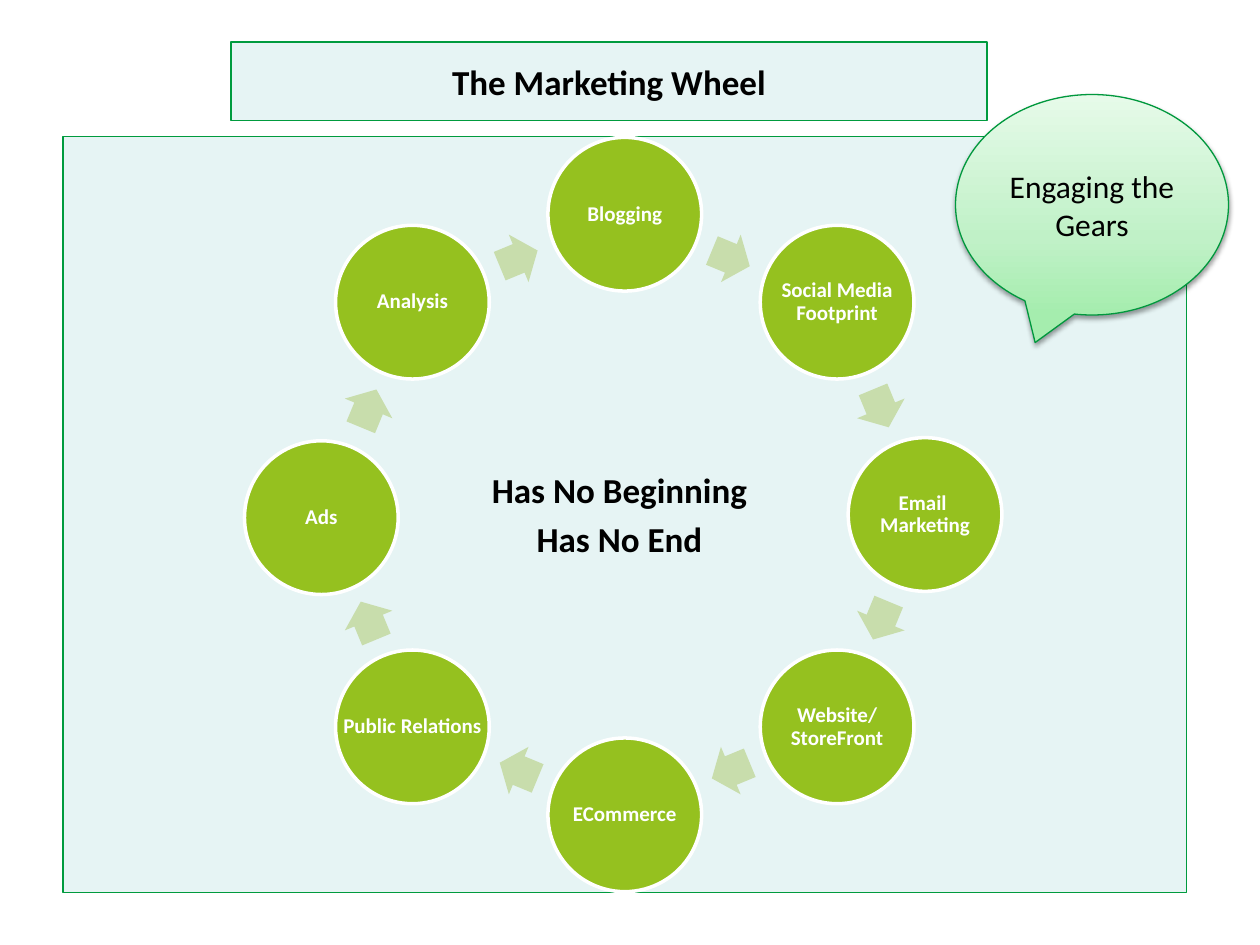
from dataclasses import dataclass
from math import cos, radians, sin

from lxml.etree import SubElement
from pptx import Presentation
from pptx.dml.color import RGBColor
from pptx.enum.shapes import MSO_SHAPE as Preset
from pptx.enum.text import MSO_ANCHOR as Anchor, PP_ALIGN as Align
from pptx.oxml.ns import qn
from pptx.util import Inches, Pt

# Grid of 120 columns by 90 rows
SLIDE_WIDTH, SLIDE_HEIGHT = Inches(10), Inches(7.5)
COLUMN, ROW = SLIDE_WIDTH / 120, SLIDE_HEIGHT / 90

FONT = "Calibri"
PANEL, GREEN, LIME, PALE_LIME = "E6F4F4", "009B3E", "95C11F", "C8DDAC"
WHITE, BLACK = "FFFFFF", "000000"

# Wheel geometry, in grid units
CENTER_X, CENTER_Y = 59.5, 49
NODE_RADIUS, ARROW_RADIUS = 28.6, 26.4
NODE_SIZE = 14.64


@dataclass
class Box:
    col: float
    row: float
    cols: float
    rows: float

    def emu(self) -> tuple:
        return (round(self.col * COLUMN), round(self.row * ROW),
                round(self.cols * COLUMN), round(self.rows * ROW))


@dataclass
class Stage:
    label: str
    shift_x: float = 0
    shift_y: float = 0


STAGES = [
    Stage("Blogging"), Stage("Social Media Footprint"),
    Stage("Email \vMarketing"), Stage("Website/\vStoreFront"),
    Stage("ECommerce"), Stage("Public Relations"),
    Stage("Ads", -0.3, 0.3), Stage("Analysis"),
]


def color(value: str) -> RGBColor:
    return RGBColor.from_string(value)


def paint(shape, fill: str, line: str = "", weight: float = 0) -> None:
    shape.fill.solid()
    shape.fill.fore_color.rgb = color(fill)
    if line:
        shape.line.color.rgb = color(line)
        shape.line.width = Pt(weight)
    else:
        shape.line.fill.background()


def add_preset(slide, preset, box: Box):
    shape = slide.shapes.add_shape(preset, *box.emu())
    shape.shadow.inherit = False
    return shape


def write(shape, lines: list, size: float, ink: str = BLACK,
          bold: bool = True, anchor=Anchor.MIDDLE) -> list:
    frame = shape.text_frame
    frame.word_wrap = True
    frame.vertical_anchor = anchor
    frame.text = "\n".join(lines)
    for paragraph in frame.paragraphs:
        paragraph.alignment = Align.CENTER
        font = paragraph.font
        font.name, font.size, font.bold = FONT, Pt(size), bold
        font.color.rgb = color(ink)
    return list(frame.paragraphs)


def on_ring(angle: float, radius: float, cols: float, rows: float) -> Box:
    """Box centred on the ring, its angle clockwise from the top."""
    turn = radians(angle)
    return Box(CENTER_X + radius * sin(turn) - cols / 2,
               CENTER_Y - radius * cos(turn) - rows / 2, cols, rows)


def draw_stage(slide, stage: Stage, angle: float) -> None:
    box = on_ring(angle, NODE_RADIUS, NODE_SIZE, NODE_SIZE)
    box.col += stage.shift_x
    box.row += stage.shift_y
    paint(add_preset(slide, Preset.OVAL, box), LIME, WHITE, 2)

    # The label is as wide as the whole circle
    label = slide.shapes.add_textbox(*box.emu())
    frame = label.text_frame
    frame.margin_left = frame.margin_right = Inches(0.02)
    frame.margin_top = frame.margin_bottom = Inches(0.02)
    write(label, [stage.label], 12, WHITE)[0].line_spacing = 0.9


def draw_arrow(slide, angle: float) -> None:
    arrow = add_preset(slide, Preset.RIGHT_ARROW,
                       on_ring(angle, ARROW_RADIUS, 3.9, 4.9))
    arrow.adjustments[0], arrow.adjustments[1] = 0.6, 0.5
    arrow.rotation = angle
    paint(arrow, PALE_LIME)


def draw_callout(slide, box: Box, words: str) -> None:
    callout = add_preset(slide, Preset.OVAL_CALLOUT, box)
    callout.line.color.rgb = color("00983D")
    callout.line.width = Pt(0.75)
    write(callout, [words], 18, bold=False)

    # Three-stop gradient, darkest at the bottom
    callout.fill.gradient()
    callout.fill.gradient_angle = 90
    properties = callout._element.spPr
    stops = properties.find(qn("a:gradFill")).find(qn("a:gsLst"))
    for stop in list(stops):
        stops.remove(stop)
    for share, tint in ((0, "A5EDAE"), (35, "C0F1C7"), (100, "E6FAE9")):
        stop = SubElement(stops, qn("a:gs"), pos=str(share * 1000))
        SubElement(stop, qn("a:srgbClr"), val=tint)

    # Soft shadow below
    shadow = SubElement(properties.find(qn("a:effectLst")), qn("a:outerShdw"),
                        blurRad=str(Pt(3.1)), dist=str(Pt(1.6)),
                        dir="5400000", rotWithShape="0")
    ink = SubElement(shadow, qn("a:srgbClr"), val=BLACK)
    SubElement(ink, qn("a:alpha"), val="38000")


def main() -> None:
    deck = Presentation()
    deck.slide_width, deck.slide_height = SLIDE_WIDTH, SLIDE_HEIGHT
    slide = deck.slides.add_slide(deck.slide_layouts[5])

    # Title and background panel
    title = slide.shapes.title
    title.left, title.top, title.width, title.height = Box(22, 4, 72, 7.5).emu()
    paint(title, PANEL, GREEN, 0.75)
    write(title, ["The Marketing Wheel"], 20)
    paint(add_preset(slide, Preset.RECTANGLE, Box(6, 13, 107, 72)),
          PANEL, GREEN, 1)

    # Wheel
    step = 360 / len(STAGES)
    for index, stage in enumerate(STAGES):
        draw_stage(slide, stage, index * step)
        draw_arrow(slide, (index + 0.5) * step)

    # Message at the hub
    hub = slide.shapes.add_textbox(*Box(45, 44, 28, 11).emu())
    paint(hub, PANEL)
    message = write(hub, ["Has No Beginning", "Has No End"], 20,
                    anchor=Anchor.TOP)
    message[1].space_before = Pt(4)

    draw_callout(slide, Box(91, 9, 26, 21), "Engaging the Gears")
    deck.save("out.pptx")


if __name__ == "__main__":
    main()
